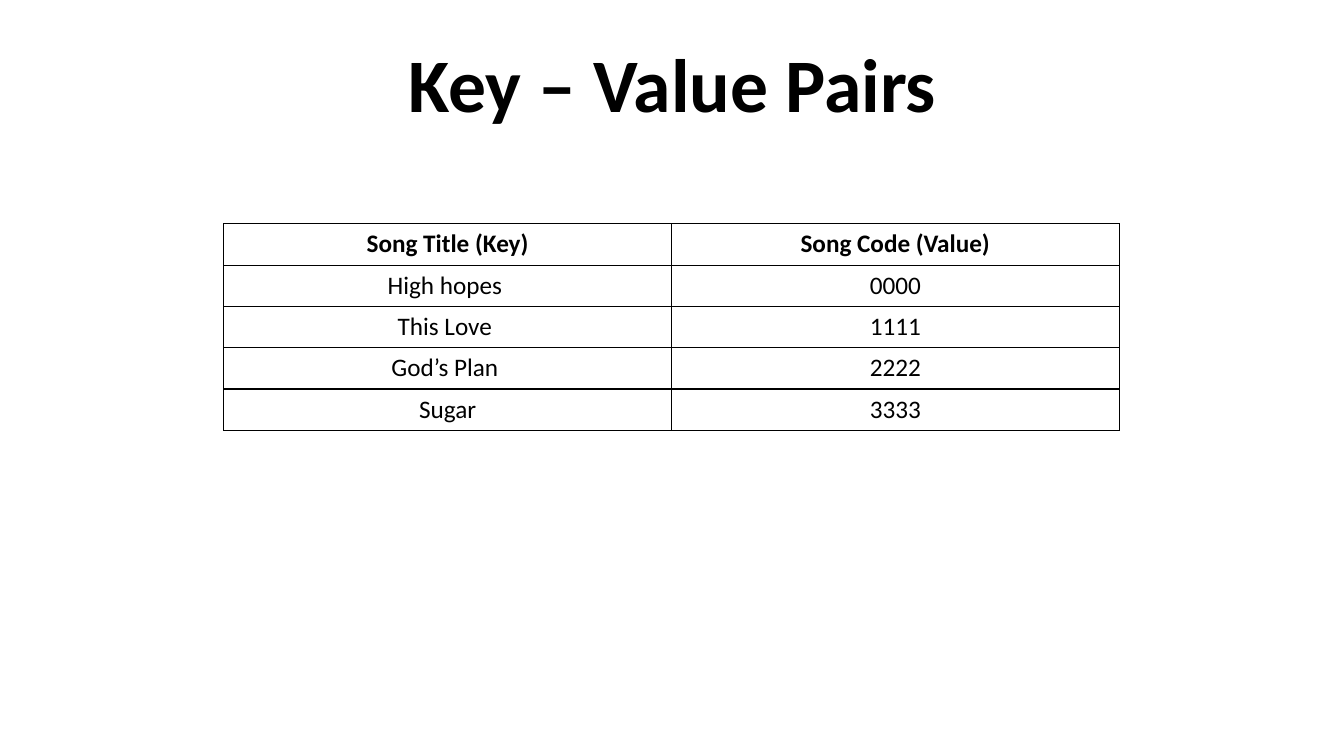
"""Build a slide with a table of key and value pairs."""
from lxml import etree
from pptx import Presentation
from pptx.dml.color import RGBColor
from pptx.enum.text import MSO_ANCHOR, PP_ALIGN
from pptx.oxml.ns import qn
from pptx.util import Inches, Pt

TITLE = "Key – Value Pairs"
ROWS = [
    ("Song Title (Key)", "Song Code (Value)"),
    ("High hopes ", "0000"),
    ("This Love ", "1111"),
    ("God’s Plan ", "2222"),
    ("Sugar", "3333"),
]
BLACK = RGBColor(0, 0, 0)
FONT = "Calibri"
COL_W, ROW_H = 4.44, 0.41


def write(tf, text, size=18, bold=False, spacing=None):
    p = tf.paragraphs[0]
    p.alignment = PP_ALIGN.CENTER
    if spacing:
        p.line_spacing = spacing
    r = p.add_run()
    r.text = text
    r.font.name, r.font.size, r.font.bold = FONT, Pt(size), bold
    r.font.color.rgb = BLACK


def add_borders(cell):
    tc_pr = cell._tc.get_or_add_tcPr()
    for i, side in enumerate(("lnL", "lnR", "lnT", "lnB")):
        ln = etree.Element(qn(f"a:{side}"), w=str(Pt(1)))
        fill = etree.SubElement(ln, qn("a:solidFill"))
        etree.SubElement(fill, qn("a:srgbClr"), val=str(BLACK))
        tc_pr.insert(i, ln)


def main():
    prs = Presentation()
    prs.slide_width, prs.slide_height = Inches(13.33), Inches(7.5)
    s = prs.slides.add_slide(prs.slide_layouts[6])

    title = s.shapes.add_textbox(Inches(1.67), Inches(0.54), Inches(10), Inches(0.79))
    tf = title.text_frame
    tf.word_wrap = True
    tf.vertical_anchor = MSO_ANCHOR.BOTTOM
    write(tf, TITLE, size=54, bold=True, spacing=0.9)

    n_rows, n_cols = len(ROWS), len(ROWS[0])
    table = s.shapes.add_table(n_rows, n_cols, Inches(2.22), Inches(2.22),
                               Inches(COL_W * n_cols), Inches(ROW_H * n_rows)).table
    table.horz_banding = False
    for col in table.columns:
        col.width = Inches(COL_W)
    for i, values in enumerate(ROWS):
        table.rows[i].height = Inches(ROW_H)
        for j, value in enumerate(values):
            cell = table.cell(i, j)
            cell.fill.background()
            add_borders(cell)
            write(cell.text_frame, value, bold=i == 0)

    prs.save("out.pptx")


if __name__ == "__main__":
    main()
